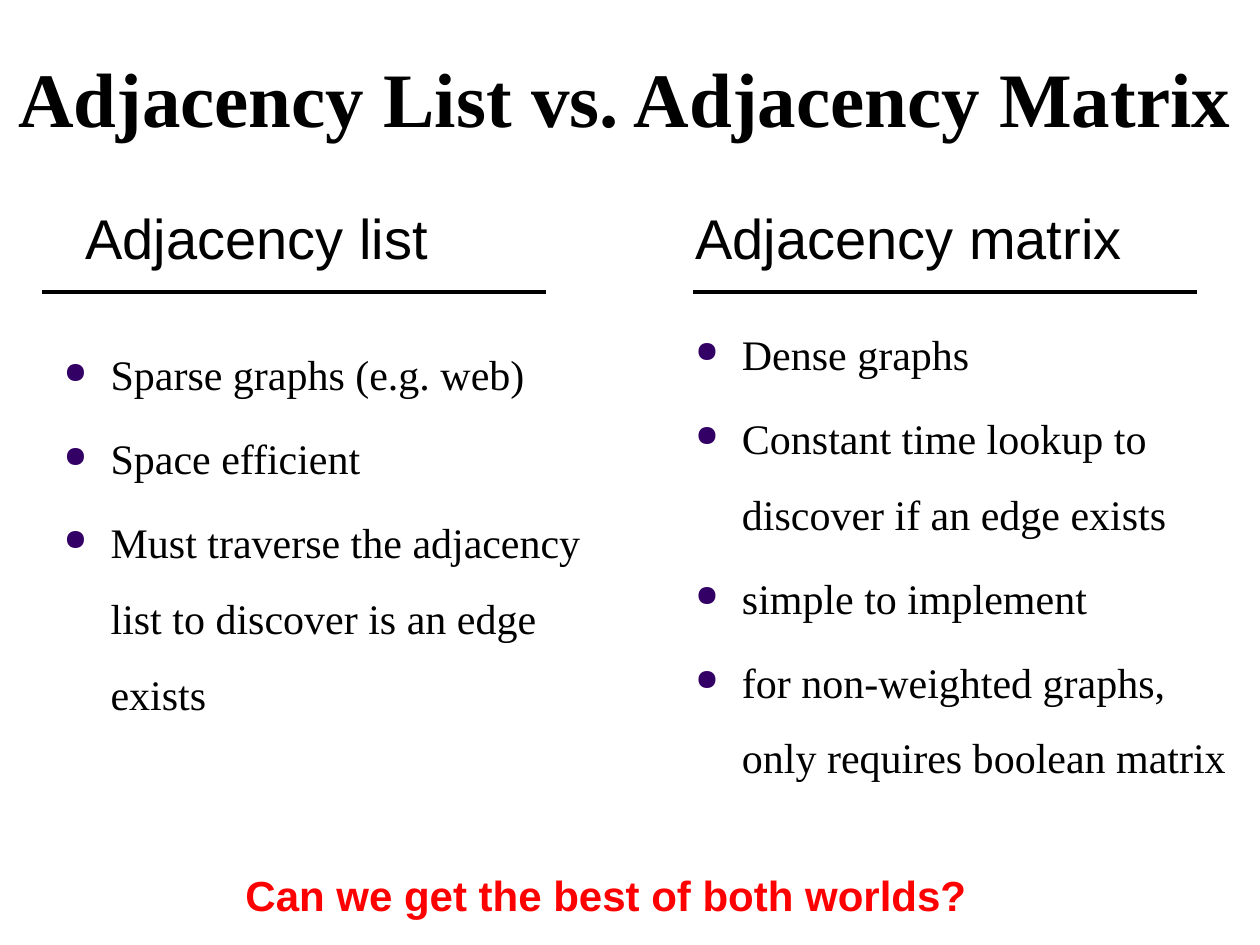
from lxml.etree import SubElement
from pptx import Presentation
from pptx.dml.color import RGBColor
from pptx.enum.shapes import MSO_CONNECTOR as Connector
from pptx.enum.text import MSO_ANCHOR as Anchor, MSO_AUTO_SIZE as AutoSize, PP_ALIGN as Align
from pptx.oxml.ns import qn
from pptx.util import Inches, Pt

SERIF, SANS = "Times New Roman", "Arial"
BLACK, RED, PURPLE = "000000", "FF0000", "330066"


def color(hex_string):
    return RGBColor.from_string(hex_string)


class SlideBuilder:
    bullet_indent = Inches(0.37)
    bullet_size = Pt(24)

    def __init__(self, slide):
        self.slide = slide

    def text_frame(self, left, top, width, height):
        box = self.slide.shapes.add_textbox(
            Inches(left), Inches(top), Inches(width), Inches(height))
        box.text_frame.word_wrap = True
        return box.text_frame

    def add_run(self, paragraph, text, size, font_name, font_color=BLACK, bold=False):
        run = paragraph.add_run()
        run.text = text
        run.font.size = size
        run.font.name = font_name
        run.font.bold = bold
        run.font.color.rgb = color(font_color)

    def title(self, text, *place):
        frame = self.text_frame(*place)
        frame.vertical_anchor = Anchor.MIDDLE
        paragraph = frame.paragraphs[0]
        paragraph.alignment = Align.CENTER
        paragraph.line_spacing = 0.9
        self.add_run(paragraph, text, Pt(44), SERIF, bold=True)

    def label(self, text, size, *place, font_color=BLACK, bold=False):
        frame = self.text_frame(*place)
        frame.auto_size = AutoSize.SHAPE_TO_FIT_TEXT
        self.add_run(frame.paragraphs[0], text, Pt(size), SANS, font_color, bold)

    def bullets(self, items, *place):
        frame = self.text_frame(*place)
        for index, item in enumerate(items):
            paragraph = frame.add_paragraph() if index else frame.paragraphs[0]
            self.add_bullet(paragraph)
            paragraph.line_spacing = 1.5
            if index:
                paragraph.space_before = Pt(4.8)
            self.add_run(paragraph, item, self.bullet_size, SERIF)

    def add_bullet(self, paragraph):
        properties = paragraph._p.get_or_add_pPr()
        properties.set("marL", str(self.bullet_indent))
        properties.set("indent", str(-self.bullet_indent))
        bullet_color = SubElement(properties, qn("a:buClr"))
        SubElement(bullet_color, qn("a:srgbClr"), val=PURPLE)
        SubElement(properties, qn("a:buSzPct"), val="70000")
        SubElement(properties, qn("a:buChar"), char="●")

    def rule(self, left, top, width):
        line = self.slide.shapes.add_connector(
            Connector.STRAIGHT, Inches(left), Inches(top), Inches(left + width), Inches(top))
        line.line.color.rgb = color(BLACK)
        line.line.width = Pt(2.25)
        SubElement(line._element.spPr, qn("a:effectLst"))


def main():
    presentation = Presentation()
    presentation.slide_width, presentation.slide_height = Inches(10), Inches(7.5)
    builder = SlideBuilder(presentation.slides.add_slide(presentation.slide_layouts[6]))

    builder.title("Adjacency List vs. Adjacency Matrix", 0, 0.4, 9.92, 0.82)

    builder.label("Adjacency list", 32, 0.58, 1.57, 3.17, 0.64)
    builder.label("Adjacency matrix", 32, 5.42, 1.57, 3.67, 0.64)
    for left in (0.33, 5.5):
        builder.rule(left, 2.32, 4)

    builder.bullets([
        "Sparse graphs (e.g. web)",
        "Space efficient",
        "Must traverse the adjacency list to discover is an edge exists",
    ], 0.41, 2.52, 4.33, 3.33)
    builder.bullets([
        "Dense graphs",
        "Constant time lookup to discover if an edge exists",
        "simple to implement",
        "for non-weighted graphs, only requires boolean matrix",
    ], 5.42, 2.36, 4.5, 4.01)

    builder.label("Can we get the best of both worlds?", 24, 1.85, 6.85, 5.97, 0.5,
                  font_color=RED, bold=True)

    presentation.save("out.pptx")


if __name__ == "__main__":
    main()
